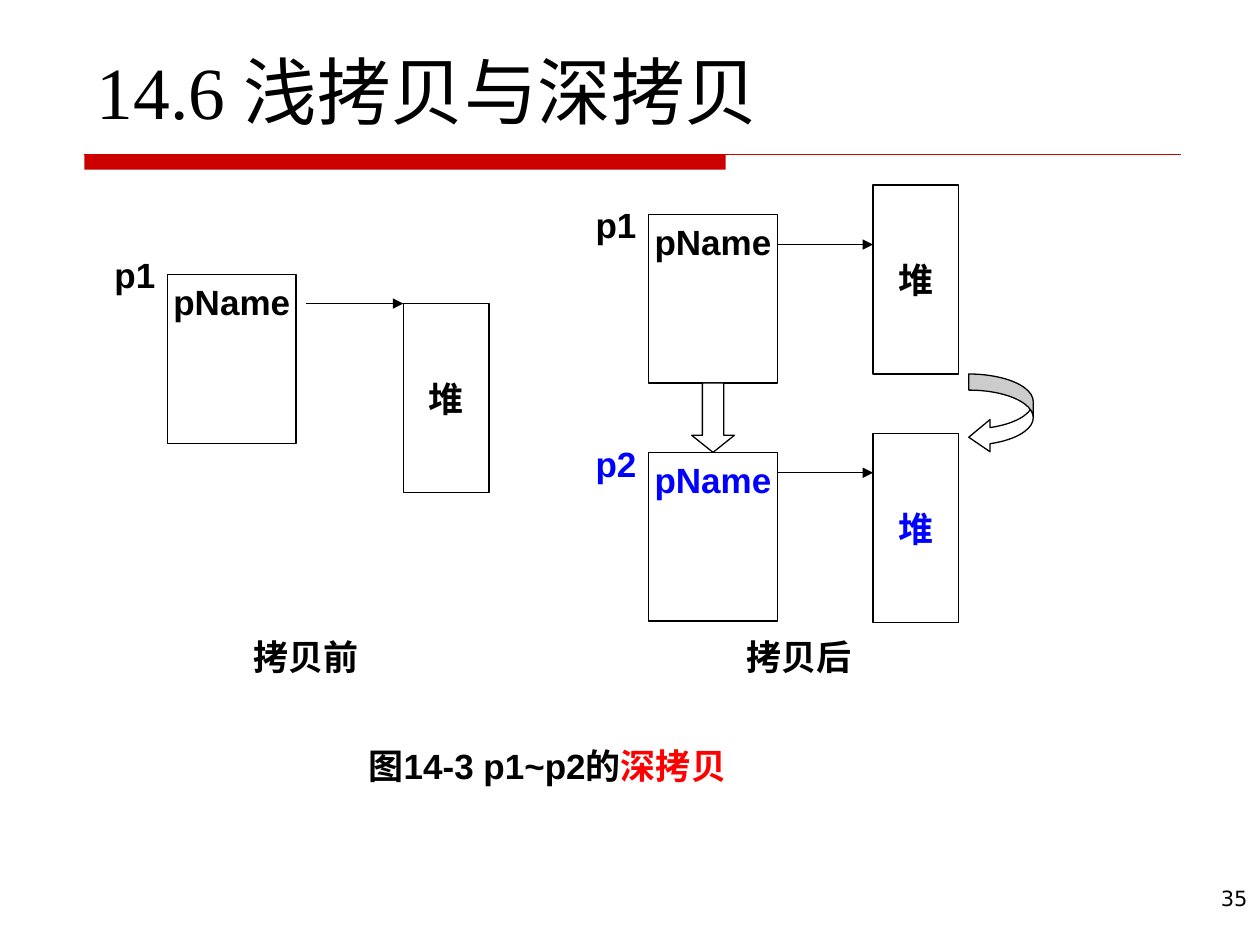
from dataclasses import dataclass

from lxml import etree
from pptx import Presentation
from pptx.dml.color import RGBColor
from pptx.enum import shapes, text
from pptx.oxml import ns
from pptx.util import Cm, Pt


@dataclass(frozen=True)
class Theme:
    black: str = "000000"
    white: str = "FFFFFF"
    blue: str = "0000FF"
    red: str = "FF0000"
    bar: str = "CC0000"
    title_font: str = "Times New Roman"
    body_font: str = "Arial"
    number_font: str = "DejaVu Sans"
    title_size: int = 42
    body_size: int = 20
    number_size: int = 12
    line_width: float = 0.75


THEME = Theme()
# Sizes in the diagram, in cm
OBJECT_WIDTH, OBJECT_HEIGHT = 2.59, 3.4
HEAP_WIDTH, HEAP_HEIGHT = 1.73, 3.81
LABEL_WIDTH, LABEL_HEIGHT = 0.86, 1.19
CAPTION_HEIGHT = 0.99
OBJECT_LEFT = 1.09


def rgb(value):
    return RGBColor.from_string(value)


def format_run(run, size, font, color, bold=False):
    run.font.size = Pt(size)
    run.font.name = font
    run.font.bold = bold
    run.font.color.rgb = rgb(color)


def add_shape(slide, kind, left, top, width, height, fill=THEME.white, line=THEME.black):
    shape = slide.shapes.add_shape(kind, Cm(left), Cm(top), Cm(width), Cm(height))
    shape.shadow.inherit = False
    shape.fill.solid()
    shape.fill.fore_color.rgb = rgb(fill)
    shape.line.color.rgb = rgb(line)
    shape.line.width = Pt(THEME.line_width)
    return shape


def add_box(slide, left, top, width, height, parts, line=THEME.black,
            anchor=text.MSO_ANCHOR.MIDDLE):
    """Rectangle with centred bold text; parts are (wording, colour) pairs."""
    shape = add_shape(slide, shapes.MSO_SHAPE.RECTANGLE, left, top, width, height, line=line)
    frame = shape.text_frame
    frame.word_wrap = False
    frame.vertical_anchor = anchor
    paragraph = frame.paragraphs[0]
    paragraph.alignment = text.PP_ALIGN.CENTER
    for wording, color in parts:
        run = paragraph.add_run()
        run.text = wording
        format_run(run, THEME.body_size, THEME.body_font, color, bold=True)
    return shape


def add_line(slide, left, top, right, color=THEME.black, arrow=False):
    line = slide.shapes.add_connector(
        shapes.MSO_CONNECTOR.STRAIGHT, Cm(left), Cm(top), Cm(right), Cm(top))
    line.line.color.rgb = rgb(color)
    line.line.width = Pt(THEME.line_width)
    if arrow:
        etree.SubElement(line.line._get_or_add_ln(), ns.qn("a:tailEnd"), type="triangle")
    etree.SubElement(line._element.spPr, ns.qn("a:effectLst"))


def add_plain_text(slide, left, top, width, height, wording, size, font):
    frame = slide.shapes.add_textbox(Cm(left), Cm(top), Cm(width), Cm(height)).text_frame
    frame.word_wrap = True
    frame.text = wording
    format_run(frame.paragraphs[0].runs[0], size, font, THEME.black)
    return frame


def add_header(slide, left, top, width):
    # Thick bar, thin rule and title
    bar = add_shape(slide, shapes.MSO_SHAPE.RECTANGLE, left, top, 12.93, 0.3, fill=THEME.bar)
    bar.line.fill.background()
    add_line(slide, left, top, left + width, THEME.bar)
    frame = add_plain_text(slide, left, top - 1.8, width, 1.5, "14.6 浅拷贝与深拷贝",
                           THEME.title_size, THEME.title_font)
    frame.vertical_anchor = text.MSO_ANCHOR.MIDDLE
    frame.paragraphs[0].line_spacing = 0.65


def add_object(slide, left, top, name, color, label_rise, heap_offset, arrow_drop, gap=0):
    """Object at (left, top) with its label, its heap block and the pointer."""
    heap_left, heap_top = left + heap_offset[0], top + heap_offset[1]
    add_box(slide, left - OBJECT_LEFT, top - label_rise, LABEL_WIDTH, LABEL_HEIGHT,
            [(name, color)], line=THEME.white)
    add_box(slide, left, top, OBJECT_WIDTH, OBJECT_HEIGHT, [("pName", color)],
            anchor=text.MSO_ANCHOR.TOP)
    add_box(slide, heap_left, heap_top, HEAP_WIDTH, HEAP_HEIGHT, [("堆", color)])
    add_line(slide, left + OBJECT_WIDTH + gap, top + arrow_drop, heap_left, arrow=True)


def add_before(slide, left, top):
    add_object(slide, left + OBJECT_LEFT, top + 1.81, "p1", THEME.black,
               label_rise=0.61, heap_offset=(4.75, 0.58), arrow_drop=0.58, gap=0.2)
    add_box(slide, left + 2.59, top + 9, OBJECT_WIDTH, CAPTION_HEIGHT,
            [("拷贝前", THEME.black)], line=THEME.white)


def add_after(slide, left, top):
    object_left, first_top, step = left + OBJECT_LEFT, top + 0.59, 4.8
    add_object(slide, object_left, first_top, "p1", THEME.black,
               label_rise=0.38, heap_offset=(4.52, -0.59), arrow_drop=0.61)
    add_object(slide, object_left, first_top + step, "p2", THEME.blue,
               label_rise=0.38, heap_offset=(4.52, -0.38), arrow_drop=0.41)
    # Copy arrows: object to object, heap to heap
    width = 0.86
    down = add_shape(slide, shapes.MSO_SHAPE.DOWN_ARROW,
                     object_left + (OBJECT_WIDTH - width) / 2, first_top + OBJECT_HEIGHT,
                     width, step - OBJECT_HEIGHT)
    down.adjustments[1] = 0.4
    curved = add_shape(slide, shapes.MSO_SHAPE.CURVED_LEFT_ARROW,
                       left + 7.54, top + HEAP_HEIGHT, 1.3, 1.6)
    curved.adjustments[2] = 0.33
    add_box(slide, left + 2.82, top + 9, OBJECT_WIDTH, CAPTION_HEIGHT,
            [("拷贝后", THEME.black)], line=THEME.white)


def main():
    presentation = Presentation()
    presentation.slide_width, presentation.slide_height = Cm(25.4), Cm(19.05)
    slide = presentation.slides.add_slide(presentation.slide_layouts[6])
    add_header(slide, 1.7, 3.12, 22.1)
    add_before(slide, 2.29, 3.73)
    add_after(slide, 11.99, 3.73)
    # Figure caption
    add_box(slide, 5.97, 14.94, 10.13, CAPTION_HEIGHT,
            [("图14-3 p1~p2的", THEME.black), ("深拷贝", THEME.red)], line=THEME.white)
    # Slide number
    number = add_plain_text(slide, 19.96, 17.73, 5.44, 1.32, "35",
                            THEME.number_size, THEME.number_font)
    number.paragraphs[0].alignment = text.PP_ALIGN.RIGHT
    presentation.save("out.pptx")


if __name__ == "__main__":
    main()
